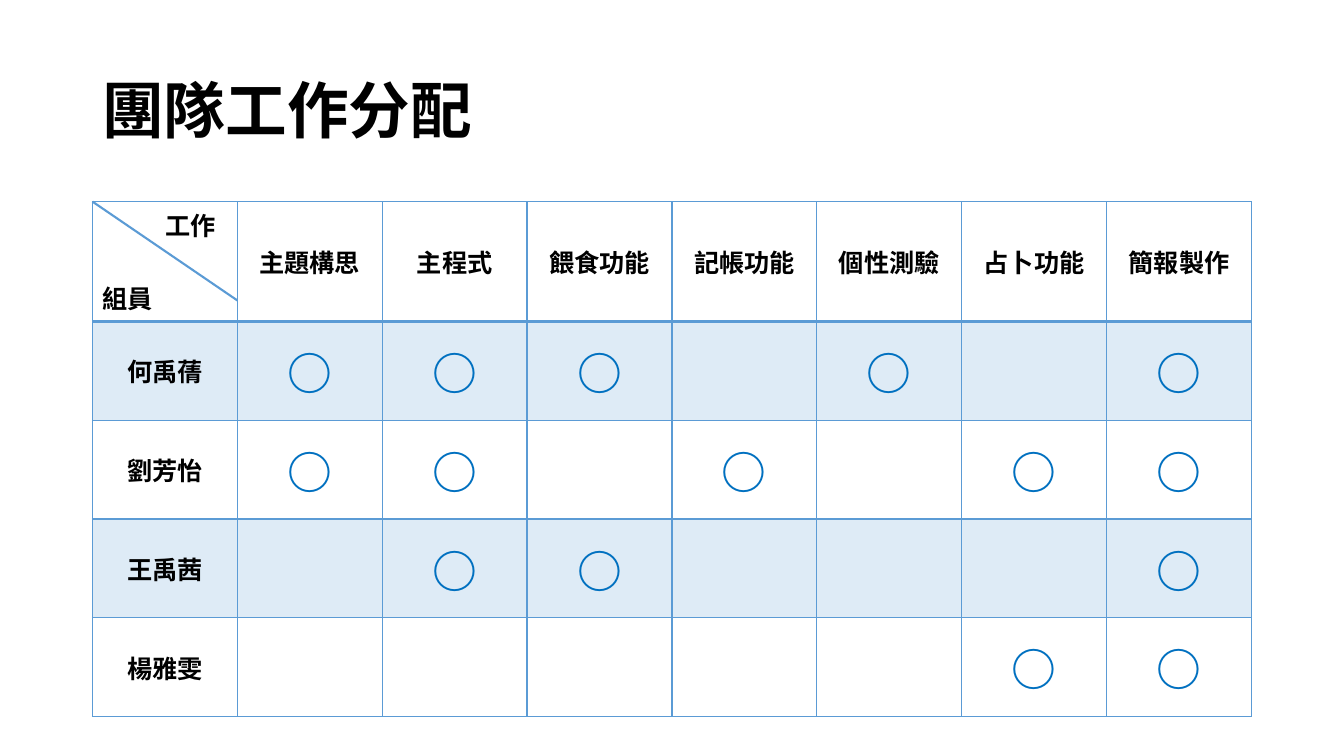
from lxml.etree import SubElement
from pptx import Presentation
from pptx.dml.color import RGBColor
from pptx.enum.shapes import MSO_CONNECTOR
from pptx.enum.text import MSO_ANCHOR, PP_ALIGN
from pptx.oxml import parse_xml
from pptx.oxml.ns import nsdecls, qn
from pptx.util import Cm, Pt

FONT = "Noto Sans CJK SC"
BLUE = "5B9BD5"
LEFT, TOP, WIDTH = 2.33, 5.08, 29.21
HEAD, ROW = 3.02, 2.49
TASKS = ["主題構思", "主程式", "餵食功能", "記帳功能", "個性測驗", "占卜功能", "簡報製作"]
COL = WIDTH / (len(TASKS) + 1)
TEAM = {
    "何禹蒨": ["主題構思", "主程式", "餵食功能", "個性測驗", "簡報製作"],
    "劉芳怡": ["主題構思", "主程式", "記帳功能", "占卜功能", "簡報製作"],
    "王禹茜": ["主程式", "餵食功能", "簡報製作"],
    "楊雅雯": ["占卜功能", "簡報製作"],
}


def color(code):
    """Turn a hex string into a colour."""
    return RGBColor.from_string(code)


def write(para, text, size=18, ink="000000", align=PP_ALIGN.LEFT, indent=0, before=0, line=None):
    """Put one bold run into a paragraph."""
    para.alignment = align
    para.space_before = Pt(before)
    para.line_spacing = line
    if indent:
        para._p.get_or_add_pPr().set("marL", str(Cm(indent)))
    run = para.add_run()
    run.text = text
    font = run.font
    font.name, font.size, font.bold = FONT, Pt(size), True
    font.color.rgb = color(ink)
    SubElement(run._r.get_or_add_rPr(), qn("a:ea"), typeface=FONT)


def add_title(slide, text):
    """Add the slide heading."""
    frame = slide.shapes.add_textbox(Cm(LEFT), Cm(1.01), Cm(WIDTH), Cm(3.68)).text_frame
    frame.word_wrap = True
    frame.vertical_anchor = MSO_ANCHOR.MIDDLE
    write(frame.paragraphs[0], text, size=44, line=0.9)


def paint(cell, shade):
    """Give a cell a light tint or no fill."""
    if not shade:
        cell.fill.background()
        return
    cell.fill.solid()
    cell.fill.fore_color.rgb = color(BLUE)
    tint = cell._tc.tcPr.find(".//" + qn("a:srgbClr"))
    SubElement(tint, qn("a:alpha"), val="20000")


def edge(cell, base):
    """Draw the four borders, the lower one as wide as given."""
    for spot, side in enumerate("LRTB"):
        wide = Pt(base if side == "B" else 1)
        cell._tc.get_or_add_tcPr().insert(spot, parse_xml(
            f'<a:ln{side} {nsdecls("a")} w="{wide}"><a:solidFill>'
            f'<a:srgbClr val="{BLUE}"/></a:solidFill></a:ln{side}>'))


def add_grid(slide, rows):
    """Add the table of members and tasks."""
    tall = HEAD + ROW * (len(rows) - 1)
    grid = slide.shapes.add_table(
        len(rows), len(rows[0]), Cm(LEFT), Cm(TOP), Cm(WIDTH), Cm(tall)).table
    grid.first_row = grid.horz_banding = False
    for r, row in enumerate(rows):
        grid.rows[r].height = Cm(ROW if r else HEAD)
        for c, text in enumerate(row):
            cell = grid.cell(r, c)
            paint(cell, r % 2)
            edge(cell, 1 if r else 2)
            cell.vertical_anchor = MSO_ANCHOR.MIDDLE
            if text:
                look = {"size": 32, "ink": "0070C0"} if text == "○" else {}
                write(cell.text_frame.paragraphs[0], text, align=PP_ALIGN.CENTER, **look)
    return grid


def add_corner(slide, cell):
    """Label the split corner cell and draw its diagonal."""
    cell.vertical_anchor = MSO_ANCHOR.TOP
    write(cell.text_frame.paragraphs[0], "工作", indent=1.58)
    write(cell.text_frame.add_paragraph(), "組員", before=26)
    line = slide.shapes.add_connector(
        MSO_CONNECTOR.STRAIGHT, Cm(LEFT), Cm(TOP), Cm(LEFT + COL), Cm(TOP + ROW))
    line.line.color.rgb = color(BLUE)
    line.line.width = Pt(1.5)
    SubElement(line._element.spPr, qn("a:effectLst"))


def main():
    """Build the slide and save it."""
    deck = Presentation()
    deck.slide_width, deck.slide_height = Cm(33.87), Cm(19.05)
    slide = deck.slides.add_slide(deck.slide_layouts[6])
    add_title(slide, "團隊工作分配")
    rows = [["", *TASKS]]
    for name, jobs in TEAM.items():
        rows.append([name] + ["○" if task in jobs else "" for task in TASKS])
    grid = add_grid(slide, rows)
    add_corner(slide, grid.cell(0, 0))
    deck.save("out.pptx")


if __name__ == "__main__":
    main()
